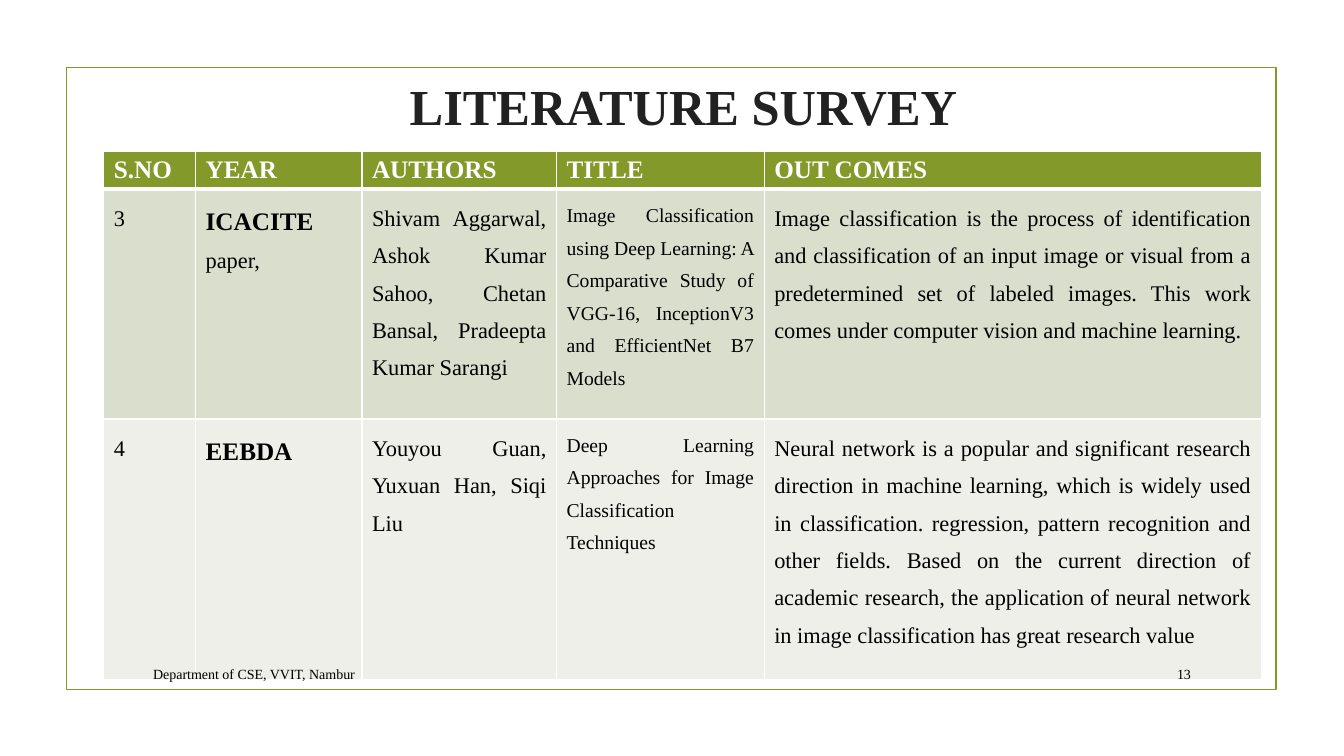
from lxml import etree
from pptx import Presentation
from pptx import util as u
from pptx.dml.color import RGBColor
from pptx.enum import shapes, text
from pptx.oxml.ns import qn

THEME = {
    "font": "Times New Roman",
    "green": "83992A", "white": "FFFFFF", "black": "000000", "dark": "212121",
    "bands": ["D9DECD", "EDEFE8"],
    "title": 36, "head": 18, "body": 16, "small": 14, "foot": 10,
}
TITLE = "LITERATURE SURVEY"
FOOT = "Department of CSE, VVIT, Nambur"
PAGE = "13"
HEADS = ["S.NO", "YEAR", "AUTHORS", "TITLE", "OUT COMES"]
ROWS = [
    ["3", ("ICACITE", " paper,"),
     "Shivam Aggarwal, Ashok Kumar Sahoo, Chetan Bansal, Pradeepta Kumar Sarangi",
     "Image Classification using Deep Learning: A Comparative Study of VGG-16, "
     "InceptionV3 and EfficientNet B7 Models",
     "Image classification is the process of identification and classification of "
     "an input image or visual from a predetermined set of labeled images. This "
     "work comes under computer vision and machine learning."],
    ["4", ("EEBDA",), "Youyou Guan, Yuxuan Han, Siqi Liu",
     "Deep Learning Approaches for Image Classification Techniques",
     "Neural network is a popular and significant research direction in machine "
     "learning, which is widely used in classification. regression, pattern "
     "recognition and other fields. Based on the current direction of academic "
     "research, the application of neural network in image classification has "
     "great research value"],
]
WIDTHS = [0.91, 1.65, 1.93, 2.06, 4.93]
HEIGHTS = [0.37, 2.28, 2.59]
ALIGN = text.PP_ALIGN


def color(name):
    return RGBColor.from_string(THEME.get(name, name))


def style(run, size, tone="black", bold=False):
    font = run.font
    font.name = THEME["font"]
    font.size = u.Pt(THEME[size])
    font.bold = bold
    font.color.rgb = color(tone)


def add_text(slide, words, box, size, align, tone="black", bold=False):
    frame = slide.shapes.add_textbox(*map(u.Inches, box)).text_frame
    frame.word_wrap = True
    frame.text = words
    para = frame.paragraphs[0]
    para.alignment = align
    style(para.runs[0], size, tone, bold)
    return frame


def edge(cell, low):
    props = cell._tc.get_or_add_tcPr()
    for side, width in zip("LRTB", (1, 1, 1, low)):
        line = etree.SubElement(props, qn(f"a:ln{side}"), w=str(u.Pt(width)))
        fill = etree.SubElement(line, qn("a:solidFill"))
        etree.SubElement(fill, qn("a:srgbClr"), val=THEME["white"])


def paint(cell, tone, low=1):
    edge(cell, low)
    cell.fill.solid()
    cell.fill.fore_color.rgb = color(tone)


def add_survey(slide):
    box = (1.03, 1.5, sum(WIDTHS), sum(HEIGHTS))
    table = slide.shapes.add_table(
        len(HEIGHTS), len(WIDTHS), *map(u.Inches, box)).table
    for col, width in zip(table.columns, WIDTHS):
        col.width = u.Inches(width)
    for row, height in zip(table.rows, HEIGHTS):
        row.height = u.Inches(height)
    for c, head in enumerate(HEADS):
        cell = table.cell(0, c)
        paint(cell, "green", 3)
        cell.text_frame.text = head
        style(cell.text_frame.paragraphs[0].runs[0], "head", "white", True)
    for r, (row, band) in enumerate(zip(ROWS, THEME["bands"]), 1):
        for c, words in enumerate(row):
            cell = table.cell(r, c)
            paint(cell, band)
            para = cell.text_frame.paragraphs[0]
            para.alignment = ALIGN.JUSTIFY
            para.line_spacing = 1.5
            parts = words if isinstance(words, tuple) else (words,)
            for i, part in enumerate(parts):
                run = para.add_run()
                run.text = part
                bold = c == 1 and i == 0
                size = "head" if bold else "small" if c == 3 else "body"
                style(run, size, bold=bold)


def main():
    deck = Presentation()
    deck.slide_width, deck.slide_height = u.Inches(13.33), u.Inches(7.5)
    slide = deck.slides.add_slide(deck.slide_layouts[6])

    frame = slide.shapes.add_shape(
        shapes.MSO_SHAPE.RECTANGLE, *map(u.Inches, (0.66, 0.67, 12, 6.17)))
    frame.shadow.inherit = False
    frame.fill.background()
    frame.line.color.rgb = color("green")
    frame.line.width = u.Pt(1.25)

    add_survey(slide)
    title = add_text(slide, TITLE, (1.58, 0.28, 9.4, 1.02), "title",
                     ALIGN.CENTER, "dark", True).paragraphs[0]
    title.line_spacing = 1.7
    title._p.get_or_add_pPr().set("marL", str(u.Inches(1)))
    for words, left, width, align in ((FOOT, 1.42, 7.99, ALIGN.LEFT),
                                      (PAGE, 11.32, 0.59, ALIGN.RIGHT)):
        foot = add_text(slide, words, (left, 6.53, width, 0.31), "foot", align)
        foot.vertical_anchor = text.MSO_ANCHOR.MIDDLE
    deck.save("out.pptx")


if __name__ == "__main__":
    main()
